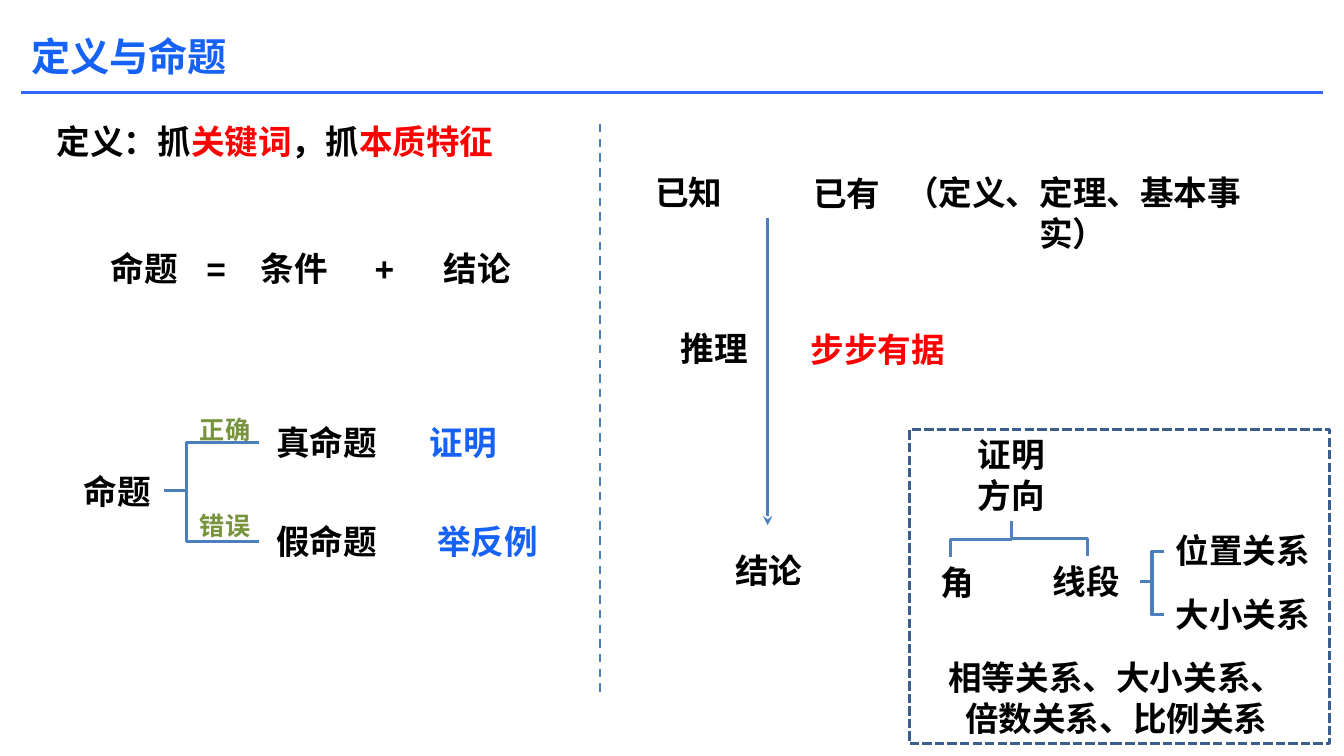
from pptx import Presentation
from pptx.dml.color import RGBColor
from pptx.enum.dml import MSO_LINE
from pptx.enum.shapes import MSO_CONNECTOR, MSO_SHAPE
from pptx.enum.text import MSO_ANCHOR, PP_ALIGN
from pptx.oxml.ns import qn
from pptx.util import Inches, Pt
from lxml import etree

BLACK = RGBColor(0x00, 0x00, 0x00)
RED = RGBColor(0xFF, 0x00, 0x00)
BLUE = RGBColor(0x16, 0x61, 0xF6)
GREEN = RGBColor(0x77, 0x93, 0x3C)
RULE = RGBColor(0x33, 0x66, 0xFF)
STEEL = RGBColor(0x4B, 0x7E, 0xBC)
SKY = RGBColor(0x4F, 0x81, 0xBD)
NAVY = RGBColor(0x3A, 0x5F, 0x8C)

STRAIGHT, ELBOW = MSO_CONNECTOR.STRAIGHT, MSO_CONNECTOR.ELBOW
DASH, DOTS = MSO_LINE.DASH, MSO_LINE.SQUARE_DOT
RECT = MSO_SHAPE.RECTANGLE
LEFT, CENTER = PP_ALIGN.LEFT, PP_ALIGN.CENTER
TOP = MSO_ANCHOR.TOP
SANS, SERIF, ARIAL = "Noto Sans CJK SC", "Times New Roman", "Arial"


class Board:
    def __init__(self, deck):
        self.slide = deck.slides.add_slide(deck.slide_layouts[5])
        self.shapes = self.slide.shapes

    def fill(self, frame, lines, size, face, align):
        """Write lines, each a list of (text, colour) runs."""
        frame.word_wrap = True
        frame.vertical_anchor = TOP
        for i, line in enumerate(lines):
            para = frame.add_paragraph() if i else frame.paragraphs[0]
            para.alignment = align
            for text, color in line:
                run = para.add_run()
                run.text = text
                font = run.font
                font.size, font.bold, font.name = Pt(size), True, face
                font.color.rgb = color
                east = etree.SubElement(run._r.get_or_add_rPr(), qn("a:ea"))
                east.set("typeface", SANS)

    def title(self, box, text):
        head = self.shapes.title
        head.left, head.top, head.width, head.height = map(Inches, box)
        self.fill(head.text_frame, [[(text, BLUE)]], 28, SERIF, LEFT)

    def text(self, box, *lines, color=BLACK, size=24, face=SANS):
        """Add centred text; a line is a string or a list of runs."""
        frame = self.shapes.add_textbox(*map(Inches, box)).text_frame
        runs = [[(line, color)] if isinstance(line, str) else line
                for line in lines]
        self.fill(frame, runs, size, face, CENTER)

    def line(self, start, end, color=STEEL, width=2.25, kind=STRAIGHT,
             dash=None, arrow=False):
        link = self.shapes.add_connector(kind, *map(Inches, start + end))
        link.line.color.rgb = color
        link.line.width = Pt(width)
        if dash:
            link.line.dash_style = dash
        if arrow:
            tail = etree.SubElement(link.line._get_or_add_ln(), qn("a:tailEnd"))
            tail.set("type", "stealth")
        etree.SubElement(link._element.spPr, qn("a:effectLst"))
        return link

    def bend(self, start, end, turn=0.5):
        """Elbow that leaves sideways and turns at a share of the way."""
        link = self.line(start, end, kind=ELBOW)
        stops = link._element.spPr.find(qn("a:prstGeom")).find(qn("a:avLst"))
        guide = etree.SubElement(stops, qn("a:gd"))
        guide.set("name", "adj1")
        guide.set("fmla", f"val {round(turn * 100000)}")

    def drop(self, start, end):
        """Elbow that leaves downwards: a sideways one turned by 90 degrees."""
        (x1, y1), (x2, y2) = start, end
        mx, my = (x1 + x2) / 2, (y1 + y2) / 2
        dx, dy = (y2 - y1) / 2, (x1 - x2) / 2
        link = self.line((mx - dx, my - dy), (mx + dx, my + dy), SKY, kind=ELBOW)
        link._element.spPr.find(qn("a:xfrm")).set("rot", "5400000")

    def frame(self, box):
        rect = self.shapes.add_shape(RECT, *map(Inches, box))
        rect.shadow.inherit = False
        rect.fill.background()
        rect.line.color.rgb = NAVY
        rect.line.width = Pt(2.25)
        rect.line.dash_style = DOTS


def main():
    deck = Presentation()
    deck.slide_width, deck.slide_height = Inches(13.34), Inches(7.5)
    board = Board(deck)

    board.line((0.21, 0.92), (13.13, 0.92), RULE, 2)
    board.title((0.21, 0.27, 2.2, 0.57), "定义与命题")
    board.line((5.96, 1.23), (5.96, 6.92), width=1.5, dash=DASH)

    # Definition and the parts of a proposition
    board.text((0.37, 1.15, 4.72, 0.5),
               [("定义：抓", BLACK), ("关键词", RED),
                ("，抓", BLACK), ("本质特征", RED)])
    for left, width, word, face in (
            (0.96, 0.95, "命题", SANS), (1.95, 0.39, "=", ARIAL),
            (2.41, 1.02, "条件", SANS), (3.56, 0.51, "+", ARIAL),
            (4.23, 1.02, "结论", SANS)):
        board.text((left, 2.41, width, 0.5), word, face=face)

    # True and false propositions
    board.text((0.69, 4.62, 0.95, 0.5), "命题")
    for top, mark, mark_top, kind, left, width, means in (
            (4.14, "正确", 4.06, "真命题", 4.11, 0.98, "证明"),
            (5.12, "错误", 5.01, "假命题", 4.19, 1.3, "举反例")):
        board.bend((2.57, top + 0.25), (1.63, 4.87), 0.76)
        board.text((1.82, mark_top, 0.83, 0.4), mark, color=GREEN, size=18)
        board.text((2.57, top, 1.34, 0.5), kind)
        board.text((left, top, width, 0.5), means, color=BLUE)

    # From the known to the conclusion
    board.text((6.36, 1.66, 0.95, 0.5), "已知")
    board.text((7.93, 1.67, 0.95, 0.5), "已有")
    board.text((8.64, 1.66, 4.02, 0.5), "（定义、定理、基本事实）")
    board.line((7.62, 2.16), (7.62, 5.21), arrow=True)
    board.text((6.54, 3.2, 1.1, 0.5), "推理", face=ARIAL)
    board.text((7.73, 3.21, 1.97, 0.5), "步步有据", color=RED)
    board.text((7.12, 5.41, 1.02, 0.5), "结论")

    # Directions of proof
    board.frame((9.03, 4.26, 4.17, 3.12))
    board.text((9.51, 4.26, 1.06, 0.91), "证明方向")
    board.drop((10.04, 5.17), (9.43, 5.53))
    board.drop((10.04, 5.17), (10.79, 5.52))
    board.text((9.24, 5.53, 0.38, 0.5), "角")
    board.text((10.25, 5.52, 1.06, 0.5), "线段")
    for top, word in ((5.21, "位置关系"), (5.84, "大小关系")):
        board.bend((11.55, top + 0.26), (11.32, 5.77))
        board.text((11.55, top, 1.57, 0.5), word)
    board.text((9.12, 6.47, 3.92, 0.91),
               "相等关系、大小关系、", "倍数关系、比例关系")

    deck.save("out.pptx")


if __name__ == "__main__":
    main()
